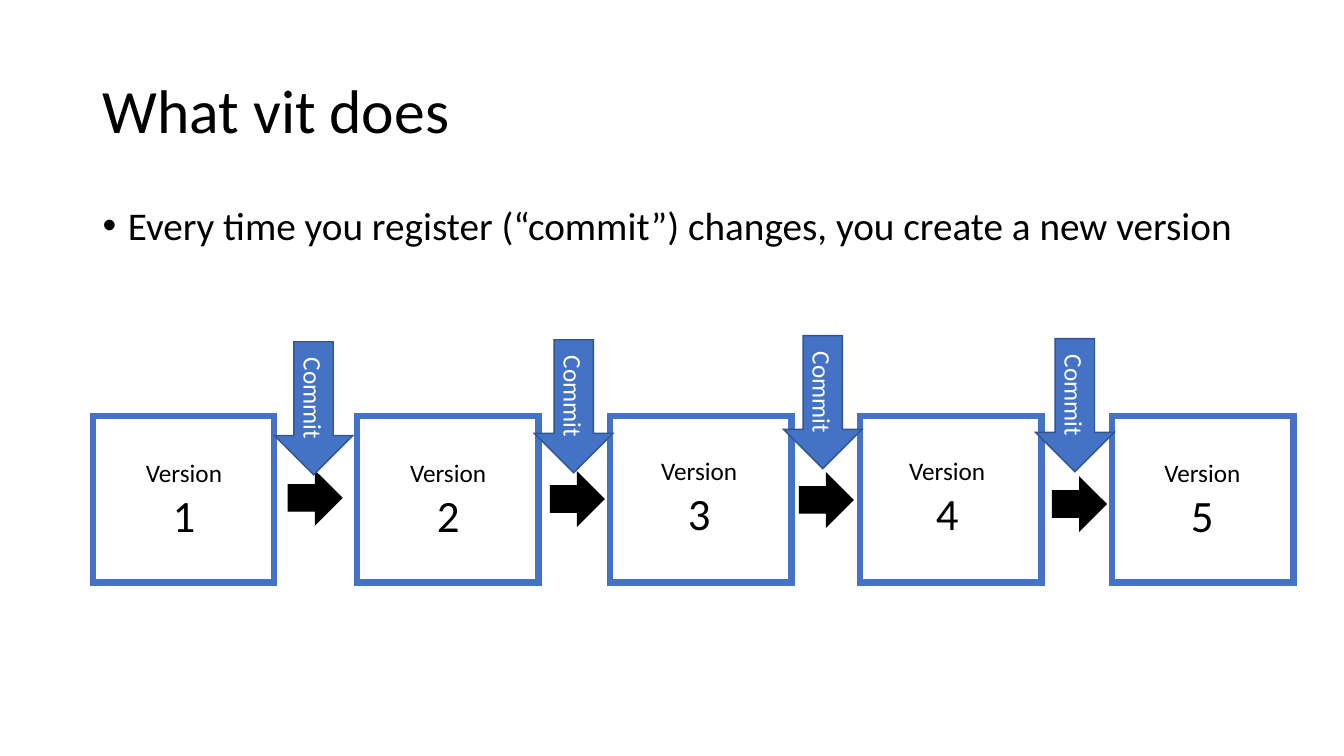
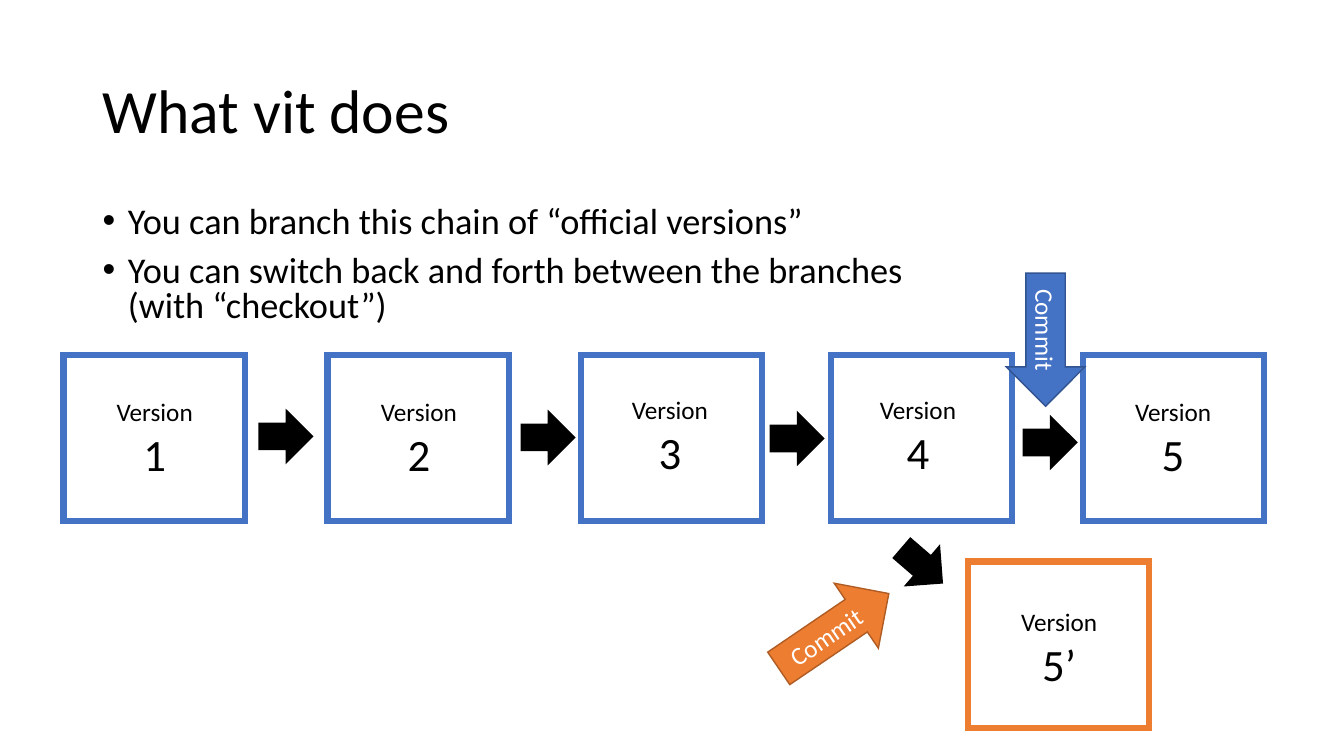
"""Two slides on how a version tool chains and branches versions."""
from dataclasses import dataclass, replace

from lxml import etree
from pptx import Presentation
from pptx import util as u
from pptx.dml.color import RGBColor
from pptx.enum import shapes, text
from pptx.oxml import ns

FONT = "Calibri"
BLACK, WHITE = "000000", "FFFFFF"
BLUE, DARK_BLUE = "4472C4", "325491"
ORANGE, DARK_ORANGE = "ED7D31", "AF5C24"
BOX_W, BOX_H = 1.8, 1.65
LABEL_W, LABEL_H = 0.97, 0.94
STEP_W, STEP_H = 0.53, 0.52
COMMIT_W, COMMIT_H = 1.32, 0.78


@dataclass(frozen=True)
class Version:
    """A framed version with its label's offset from the frame."""
    name: str
    x: float
    y: float = 4.13
    dx: float = 0.42
    dy: float = 0.36
    color: str = BLUE


@dataclass(frozen=True)
class Step:
    """A black arrow leading to the next version."""
    x: float
    y: float
    rotation: float = 0


@dataclass(frozen=True)
class Commit:
    """A coloured arrow that carries the word Commit."""
    x: float
    y: float
    rotation: float = 90
    fill: str = BLUE
    line: str = DARK_BLUE


VERSIONS = [
    Version("1", 0.92),
    Version("2", 3.54),
    Version("3", 6.05, dx=0.4, dy=0.34),
    Version("4", 8.53, dx=0.38, dy=0.34),
    Version("5", 11.03, dx=0.41),
]
STEPS = [Step(2.86, 4.68), Step(5.46, 4.69), Step(7.93, 4.7), Step(10.44, 4.74)]
COMMITS = [Commit(2.45, 3.66), Commit(5.03, 3.64), Commit(7.5, 3.6), Commit(10, 3.63)]


def rgb(color: str) -> RGBColor:
    """Turn a hex string into a colour."""
    return RGBColor.from_string(color)


def add_run(p, words: str, size: float, color: str = BLACK) -> None:
    """Add one run of text to a paragraph."""
    r = p.add_run()
    r.text = words
    r.font.name = FONT
    r.font.size = u.Pt(size)
    r.font.color.rgb = rgb(color)


def add_box(s, x: float, y: float, w: float, h: float, wrap: bool = True):
    """Add a text box and return its text frame."""
    sp = s.shapes.add_textbox(u.Inches(x), u.Inches(y), u.Inches(w), u.Inches(h))
    tf = sp.text_frame
    tf.word_wrap = wrap
    return tf


def add_shape(s, kind, x: float, y: float, w: float, h: float,
              fill: str | None, line: str, weight: float, rotation: float = 0):
    """Add a flat preset shape with sharp corners."""
    sp = s.shapes.add_shape(kind, u.Inches(x), u.Inches(y), u.Inches(w), u.Inches(h))
    sp.shadow.inherit = False
    sp.rotation = rotation
    if fill:
        sp.fill.solid()
        sp.fill.fore_color.rgb = rgb(fill)
    else:
        sp.fill.background()
    sp.line.color.rgb = rgb(line)
    sp.line.width = u.Pt(weight)
    ln = sp.element.spPr.find(ns.qn("a:ln"))
    etree.SubElement(ln, ns.qn("a:miter"), lim="800000")
    return sp


def add_title(s, words: str) -> None:
    """Add the slide title."""
    tf = add_box(s, 0.92, 0.4, 11.5, 1.45)
    tf.vertical_anchor = text.MSO_ANCHOR.MIDDLE
    p = tf.paragraphs[0]
    p.line_spacing = 0.9
    add_run(p, words, 44)


def add_bullets(s, items: list[str], w: float, h: float, size: float, spacing: float) -> None:
    """Add the bulleted body text."""
    tf = add_box(s, 0.92, 2, w, h)
    for i, item in enumerate(items):
        p = tf.add_paragraph() if i else tf.paragraphs[0]
        p.line_spacing = spacing
        p.space_before = u.Pt(10)
        pPr = p._p.get_or_add_pPr()
        pPr.set("marL", str(u.Inches(0.25)))
        pPr.set("indent", str(u.Inches(-0.25)))
        etree.SubElement(pPr, ns.qn("a:buFont"), typeface="Arial")
        etree.SubElement(pPr, ns.qn("a:buChar"), char="•")
        for j, row in enumerate(item.split("\n")):
            if j:
                p.add_line_break()
            add_run(p, row, size)


def add_frame(s, v: Version) -> None:
    """Draw the frame of a version."""
    add_shape(s, shapes.MSO_SHAPE.RECTANGLE, v.x, v.y, BOX_W, BOX_H, None, v.color, 4.5)


def add_label(s, v: Version) -> None:
    """Write the label of a version."""
    tf = add_box(s, v.x + v.dx, v.y + v.dy, LABEL_W, LABEL_H, wrap=False)
    tf.auto_size = text.MSO_AUTO_SIZE.SHAPE_TO_FIT_TEXT
    for p, words, size in ((tf.paragraphs[0], "Version", 18), (tf.add_paragraph(), v.name, 32)):
        p.alignment = text.PP_ALIGN.CENTER
        add_run(p, words, size)


def add_step(s, step: Step) -> None:
    """Draw a black arrow."""
    add_shape(s, shapes.MSO_SHAPE.RIGHT_ARROW, step.x, step.y, STEP_W, STEP_H,
              BLACK, BLACK, 1, step.rotation)


def add_commit(s, c: Commit) -> None:
    """Draw a commit arrow with its word."""
    sp = add_shape(s, shapes.MSO_SHAPE.RIGHT_ARROW, c.x, c.y, COMMIT_W, COMMIT_H,
                   c.fill, c.line, 1, c.rotation)
    tf = sp.text_frame
    tf.vertical_anchor = text.MSO_ANCHOR.MIDDLE
    p = tf.paragraphs[0]
    p.alignment = text.PP_ALIGN.CENTER
    add_run(p, "Commit", 18, WHITE)


def add_chain(s, commits: list[Commit], dx: float = 0, dy: float = 0) -> None:
    """Draw the chain of versions, moved by an offset."""
    versions = [replace(v, x=v.x + dx, y=v.y + dy) for v in VERSIONS]
    for v in versions:
        add_frame(s, v)
    for step in STEPS:
        add_step(s, replace(step, x=step.x + dx, y=step.y + dy))
    for v in versions:
        add_label(s, v)
    for c in commits:
        add_commit(s, c)


def add_slide(prs):
    """Add a blank slide with the shared title."""
    s = prs.slides.add_slide(prs.slide_layouts[6])
    add_title(s, "What vit does")
    return s


def build_chain_slide(prs) -> None:
    """Build the slide on commits."""
    s = add_slide(prs)
    add_bullets(s, ["Every time you register (“commit”) changes, you create a new version"],
                11.91, 0.75, 28, 0.9)
    add_chain(s, COMMITS)


def build_branch_slide(prs) -> None:
    """Build the slide on branches."""
    s = add_slide(prs)
    add_bullets(s, ["You can branch this chain of “official versions”",
                    "You can switch back and forth between the branches\n(with “checkout”)"],
                11.5, 1.32, 25.9, 0.8)
    add_chain(s, [Commit(9.71, 2.98)], dx=-0.29, dy=-0.61)
    branch = Version("5’", 9.6, 5.57, dy=0.4, color=ORANGE)
    add_frame(s, branch)
    add_label(s, branch)
    add_step(s, Step(8.88, 5.35, 40.7))
    add_commit(s, Commit(7.61, 5.87, 325.8, ORANGE, DARK_ORANGE))


def main() -> None:
    """Build and save the presentation."""
    prs = Presentation()
    prs.slide_width, prs.slide_height = u.Inches(13.33), u.Inches(7.5)
    build_chain_slide(prs)
    build_branch_slide(prs)
    prs.save("out.pptx")


if __name__ == "__main__":
    main()
